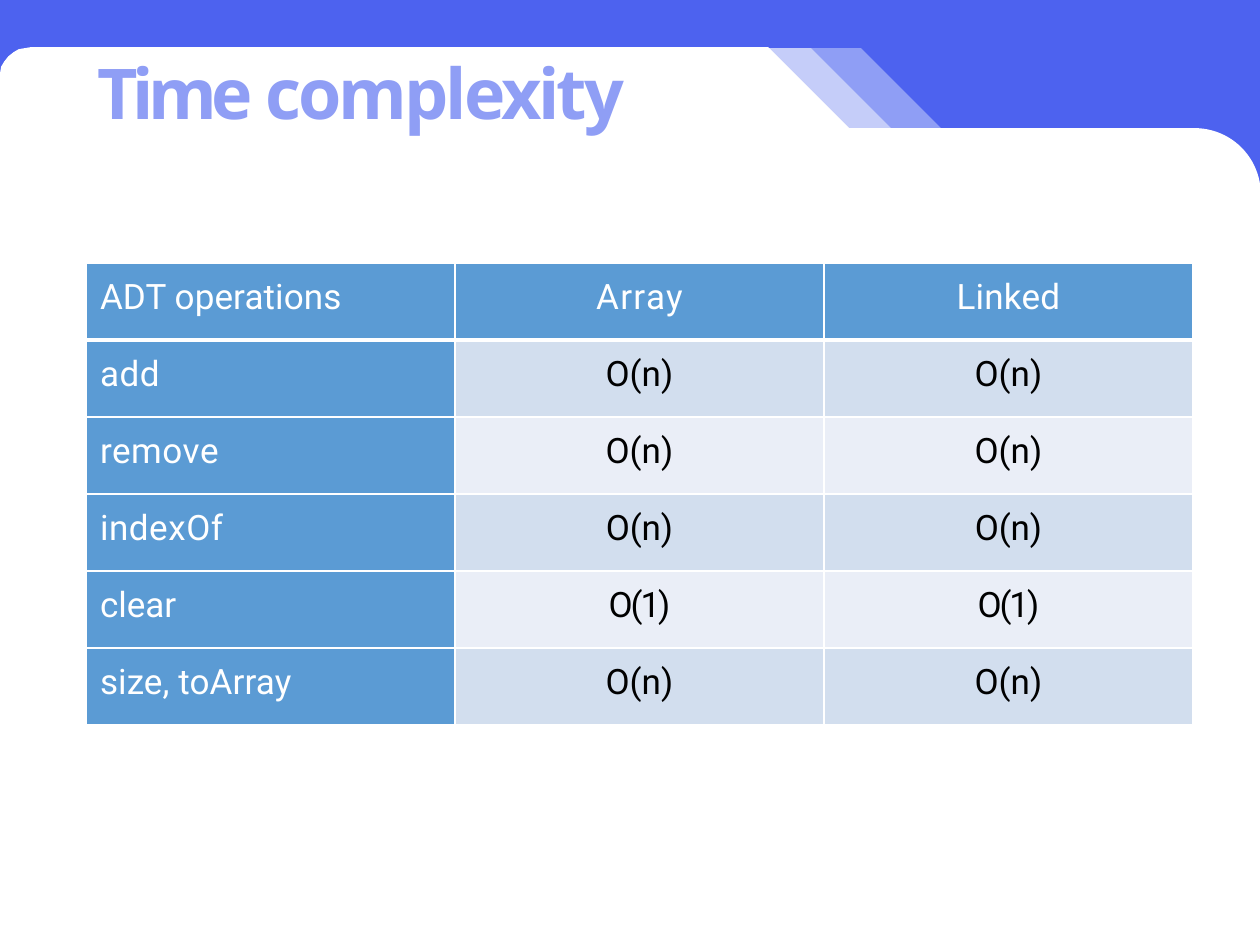
"""Build the time complexity slide: a tabbed page header and a table of list operations."""
from dataclasses import dataclass
from math import cos, pi, sin

from lxml.etree import SubElement
from pptx import Presentation
from pptx.dml.color import RGBColor
from pptx.enum.shapes import MSO_SHAPE
from pptx.enum.text import MSO_ANCHOR, MSO_AUTO_SIZE, PP_ALIGN
from pptx.oxml.ns import qn
from pptx.util import Pt

PX = 914400 // 126
W, H = 1260, 945
BLUE, WHITE, BLACK, LILAC, PALE = "4D62EF", "FFFFFF", "000000", "8F9EF5", "C5CDF9"
HEAD, BANDS = "5B9BD4", ("D2DEEE", "EAEEF7")


@dataclass
class Tab:
    left: int
    color: str


@dataclass
class Row:
    texts: tuple[str, str, str]
    spacing: tuple[float, float, float]


TABS = [Tab(93, LILAC), Tab(43, PALE), Tab(0, WHITE)]
ROWS = [
    Row(("ADT operations", "Array", "Linked"), (0.05, 0.8, 0.1)),
    Row(("add", "O(n)", "O(n)"), (0.3, 0, 0)),
    Row(("remove", "O(n)", "O(n)"), (0.3, 0, 0)),
    Row(("indexOf", "O(n)", "O(n)"), (0.3, -0.1, -0.1)),
    Row(("clear", "O(1)", "O(1)"), (0, -1.2, -1.2)),
    Row(("size, toArray", "O(n)", "O(n)"), (0.05, 0, 0)),
]


def rgb(color: str) -> RGBColor:
    return RGBColor.from_string(color)


def paint(sp, color: str) -> None:
    sp.shadow.inherit = False
    sp.fill.solid()
    sp.fill.fore_color.rgb = rgb(color)
    if color == WHITE:
        sp.line.color.rgb = rgb(WHITE)
        sp.line.width = Pt(1)
    else:
        sp.line.fill.background()


def add_block(s, kind, top: int, color: str):
    sp = s.shapes.add_shape(kind, 0, top * PX, W * PX, (H - top) * PX)
    paint(sp, color)
    return sp


def add_tab(s, tab: Tab) -> None:
    x, top, bottom, radius = tab.left, 48, 233, 31
    angles = [pi / 2 * i / 8 for i in range(9)]
    corner = [(x + radius * (1 - cos(a)), top + radius * (1 - sin(a))) for a in angles]
    fb = s.shapes.build_freeform(x + 768, top, scale=PX)
    fb.add_line_segments([(x + 861, top + 93), (x + 861, bottom), (x, bottom), *corner])
    paint(fb.convert_to_shape(), tab.color)


def add_run(p, text: str, spacing: float) -> None:
    r = p.add_run()
    r.text = text
    r._r.get_or_add_rPr().set("spc", str(round(spacing * 100)))


def set_font(p, name: str, size: int, color: str, bold: bool = False) -> None:
    f = p.font
    f.name, f.size, f.bold = name, Pt(size), bold
    f.color.rgb = rgb(color)


def add_title(s) -> None:
    title = s.shapes.title
    s.shapes.element.append(title.element)
    title.left, title.top, title.width, title.height = 97 * PX, 48 * PX, 542 * PX, 87 * PX
    tf = title.text_frame
    tf.margin_left = tf.margin_right = tf.margin_bottom = 0
    tf.margin_top = PX
    tf.vertical_anchor = MSO_ANCHOR.TOP
    tf.auto_size = MSO_AUTO_SIZE.SHAPE_TO_FIT_TEXT
    p = tf.paragraphs[0]
    p.alignment, p.space_before = PP_ALIGN.LEFT, Pt(0.9)
    p._p.get_or_add_pPr().set("marL", str(PX))
    set_font(p, "Open Sans", 40, LILAC, True)
    add_run(p, "Time ", -3.2)
    add_run(p, "complexity", -1.7)


def set_borders(cell, top: int, bottom: int) -> None:
    tc_pr = cell._tc.get_or_add_tcPr()
    for side, width in (("L", 1), ("R", 1), ("T", top), ("B", bottom)):
        ln = SubElement(tc_pr, qn(f"a:ln{side}"), w=str(Pt(width)))
        SubElement(SubElement(ln, qn("a:solidFill")), qn("a:srgbClr"), val=WHITE)


def fill_cell(cell, row: int, col: int) -> None:
    label = row == 0 or col == 0
    set_borders(cell, 3 if row == 1 else 1, 3 if row == 0 else 1)
    cell.fill.solid()
    cell.fill.fore_color.rgb = rgb(HEAD if label else BANDS[(row - 1) % 2])
    cell.margin_left = cell.margin_right = cell.margin_bottom = 0
    cell.margin_top = 14 * PX
    p = cell.text_frame.paragraphs[0]
    p.space_before = Pt(7.7)
    if col == 0:
        p._p.get_or_add_pPr().set("marL", str(14 * PX))
    else:
        p.alignment = PP_ALIGN.CENTER
    set_font(p, "Roboto", 20, WHITE if label else BLACK)
    add_run(p, ROWS[row].texts[col], ROWS[row].spacing[col])


def add_operations(s) -> None:
    cols, col_w, row_h = 3, 369, 77
    table = s.shapes.add_table(len(ROWS), cols, 86 * PX, 263 * PX,
                               cols * col_w * PX, len(ROWS) * row_h * PX).table
    for row in range(len(ROWS)):
        for col in range(cols):
            fill_cell(table.cell(row, col), row, col)


def main() -> None:
    prs = Presentation()
    prs.slide_width, prs.slide_height = W * PX, H * PX
    s = prs.slides.add_slide(prs.slide_layouts[5])
    add_block(s, MSO_SHAPE.RECTANGLE, 0, BLUE)
    for tab in TABS:
        add_tab(s, tab)
    panel = add_block(s, MSO_SHAPE.ROUND_2_SAME_RECTANGLE, 129, WHITE)
    panel.adjustments[0] = 0.08
    add_title(s)
    add_operations(s)
    prs.save("out.pptx")


if __name__ == "__main__":
    main()
